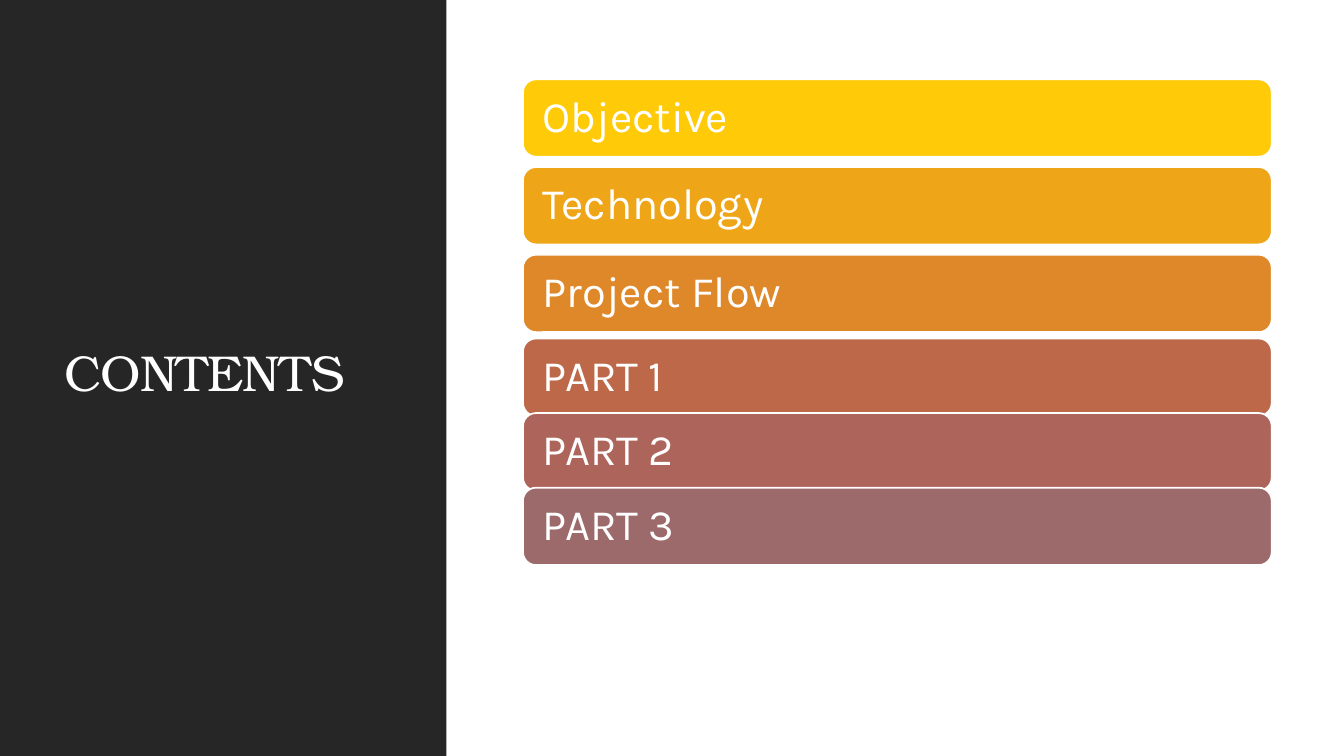
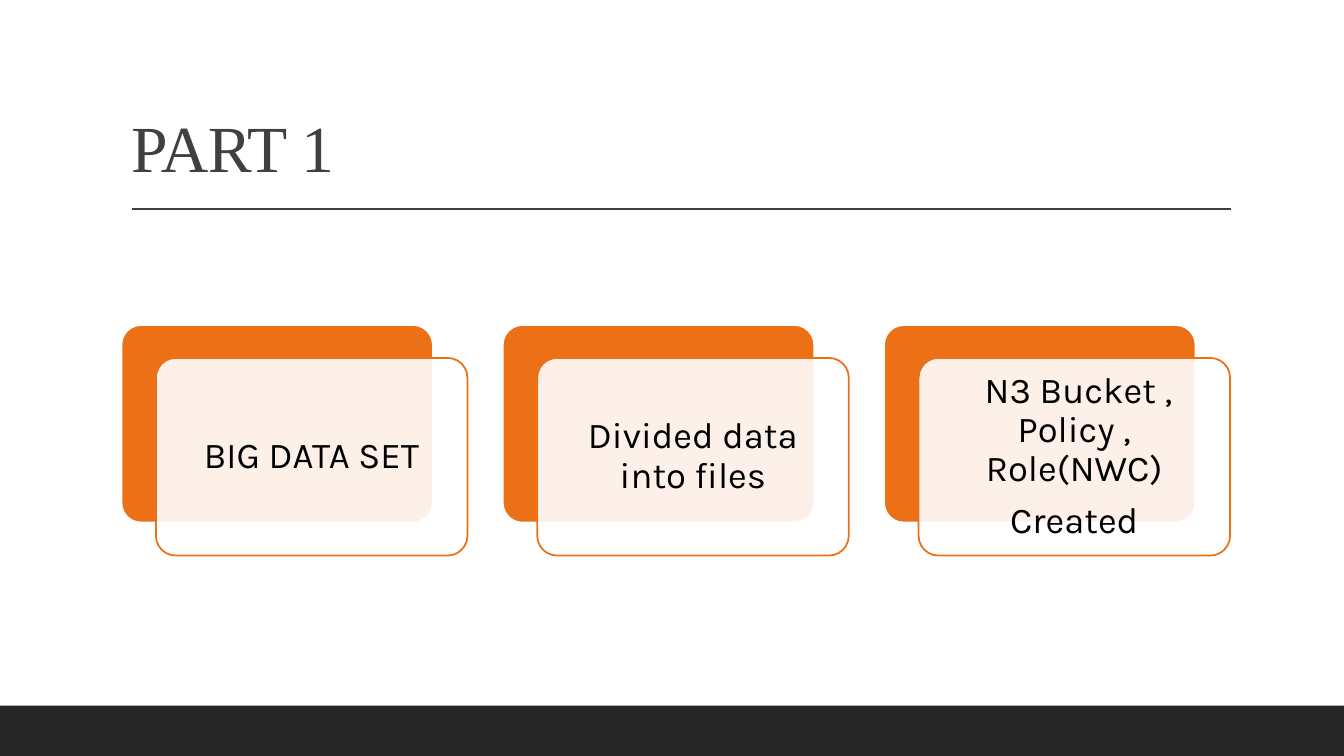
import pptx
import pptx.util
import pptx.dml.color
import pptx.enum.shapes
import pptx.enum.text
import pptx.oxml
import pptx.oxml.ns
from lxml import etree

Cm, Pt = pptx.util.Cm, pptx.util.Pt
KIND = pptx.enum.shapes.MSO_SHAPE
ALIGN = pptx.enum.text.PP_ALIGN
ANCHOR = pptx.enum.text.MSO_ANCHOR
qn = pptx.oxml.ns.qn

# Shared look: lengths in cm, sizes in points
WIDE, HIGH = 33.87, 19.05
BODY = "Karla"
COLOR = {
    "white": "FFFFFF", "black": "000000", "dark": "262626", "gray": "404040",
    "orange": "EC7016", "gold": "FFCA08", "amber": "EFA518",
    "ochre": "DE8829", "rust": "BD6849", "brick": "AD645A", "mauve": "9C6A6A",
}


def rgb(name):
    return pptx.dml.color.RGBColor.from_string(COLOR[name])


def block(slide, kind, box, fill, edge=None, round=None, alpha=None):
    """Draw a filled shape in box (left, top, width, height)."""
    shape = slide.shapes.add_shape(kind, *[Cm(v) for v in box])
    shape.shadow.inherit = False
    shape.fill.solid()
    shape.fill.fore_color.rgb = rgb(fill)
    if alpha:
        tint = shape.element.spPr.find(qn("a:solidFill"))[0]
        etree.SubElement(tint, qn("a:alpha")).set("val", str(alpha * 1000))
    if edge:
        shape.line.color.rgb = rgb(edge)
        shape.line.width = Pt(1.25)
    else:
        shape.line.fill.background()
    if round:
        shape.adjustments[0] = round
    return shape


def write(shape, text, font, size, color, align=ALIGN.LEFT,
          anchor=ANCHOR.MIDDLE, pad=None, track=None):
    """Set the text of a shape and format its runs."""
    frame = shape.text_frame
    frame.text = text
    frame.word_wrap = True
    frame.auto_size = pptx.enum.text.MSO_AUTO_SIZE.NONE
    frame.vertical_anchor = anchor
    if pad:
        frame.margin_left = frame.margin_right = Cm(pad)
        frame.margin_top = frame.margin_bottom = Cm(pad)
    for para in frame.paragraphs:
        para.alignment = align
        para.line_spacing = 0.9
        para.space_after = Pt(round(size * 0.35))
        for run in para.runs:
            run.font.name = font
            run.font.size = Pt(size)
            run.font.color.rgb = rgb(color)
            if track:
                run.font._element.set("spc", str(track))


def head(slide, box, text, font, size, color, anchor):
    """Move the title to box, in front of what is drawn so far."""
    title = slide.shapes.title
    title.left, title.top, title.width, title.height = [Cm(v) for v in box]
    write(title, text, font, size, color, anchor=anchor, track=-50)
    slide.shapes.element.append(title.element)


def rule(slide, left, top, width):
    line = slide.shapes.add_connector(
        pptx.enum.shapes.MSO_CONNECTOR.STRAIGHT,
        Cm(left), Cm(top), Cm(left + width), Cm(top))
    line.line.color.rgb = rgb("gray")
    line.line.width = Pt(1)
    etree.SubElement(line.element.spPr, qn("a:effectLst"))


def bars(slide, box, step, items):
    """Stack rounded bars downward; box is the first bar."""
    left, top, width, high = box
    for i, (text, fill) in enumerate(items):
        bar = block(slide, KIND.ROUNDED_RECTANGLE,
                    (left, top + i * step, width, high), fill, "white")
        write(bar, text, BODY, 31, "white", pad=0.41)


def cards(slide, box, step, items):
    """Lay out cards in a row; box is the back plate of the first."""
    left, top, width, high = box
    for i, text in enumerate(items):
        x = left + i * step
        block(slide, KIND.ROUNDED_RECTANGLE, (x, top, width, high),
              "orange", "white", round=0.1)
        front = block(slide, KIND.ROUNDED_RECTANGLE,
                      (x + 0.87, top + 0.83, width, high),
                      "white", "orange", round=0.1, alpha=90)
        write(front, text, BODY, 26, "black", ALIGN.CENTER, pad=0.42)


def contents(slide):
    # Side panel with title
    block(slide, KIND.RECTANGLE, (0, 0, 11.25, HIGH), "dark")
    head(slide, (1.37, 1.45, 8.56, 16.03), "CONTENTS",
         "TeX Gyre Bonum", 36, "white", ANCHOR.MIDDLE)
    # Topics, then the closer-set parts
    bars(slide, (13.18, 2, 18.87, 1.95), 2.21,
         [("Objective", "gold"), ("Technology", "amber"),
          ("Project Flow", "ochre")])
    bars(slide, (13.18, 8.53, 18.87, 1.95), 1.88,
         [("PART 1", "rust"), ("PART 2", "brick"), ("PART 3", "mauve")])


def part(slide):
    # Title, rule and bottom band
    head(slide, (3.05, 0.79, 27.94, 4.04), "PART 1",
         "Times New Roman", 47, "gray", ANCHOR.BOTTOM)
    rule(slide, 3.33, 5.27, 27.68)
    block(slide, KIND.RECTANGLE, (0, 17.78, WIDE, 1.27), "dark")
    # Steps
    cards(slide, (3.06, 8.19, 7.85, 4.98), 9.61,
          ["BIG DATA SET", "Divided data into files",
           " N3 Bucket , Policy , Role(NWC)\nCreated"])


def main():
    deck = pptx.Presentation()
    deck.slide_width, deck.slide_height = Cm(WIDE), Cm(HIGH)
    for build in (contents, part):
        build(deck.slides.add_slide(deck.slide_layouts[5]))
    deck.save("out.pptx")


if __name__ == "__main__":
    main()
